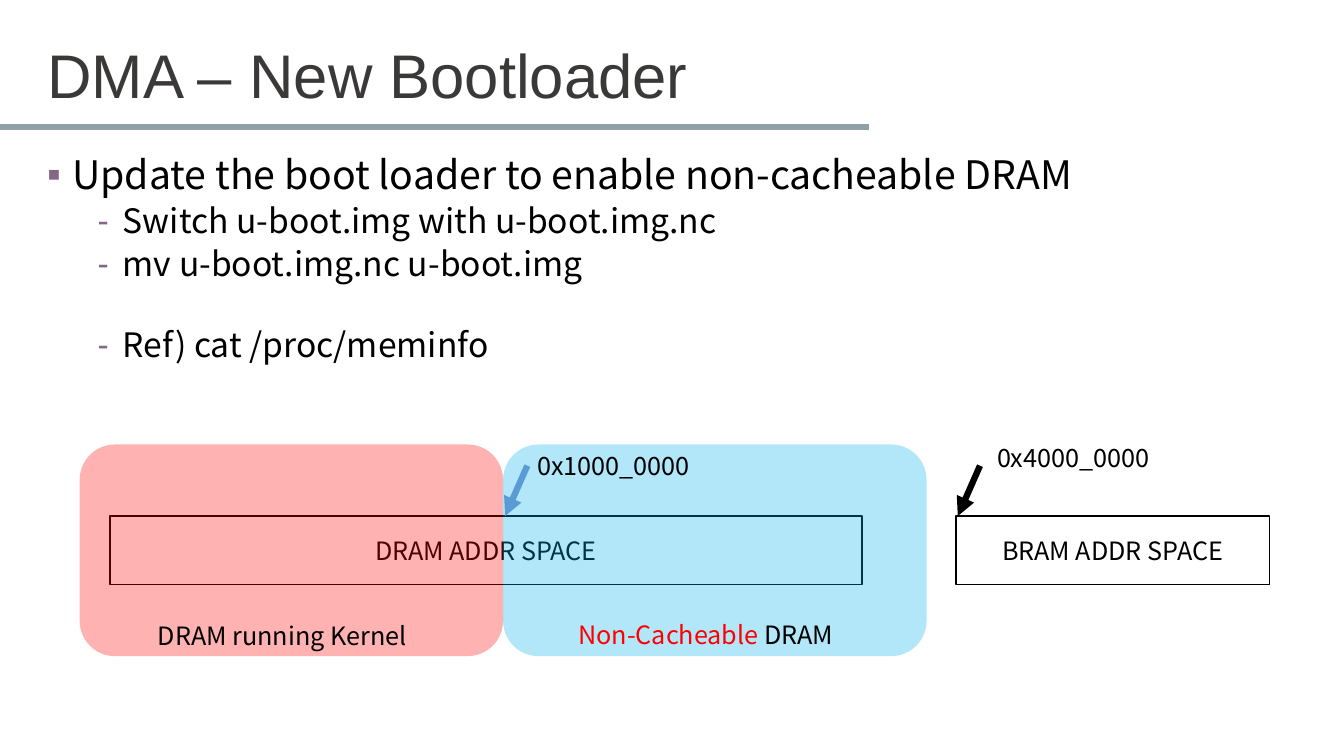
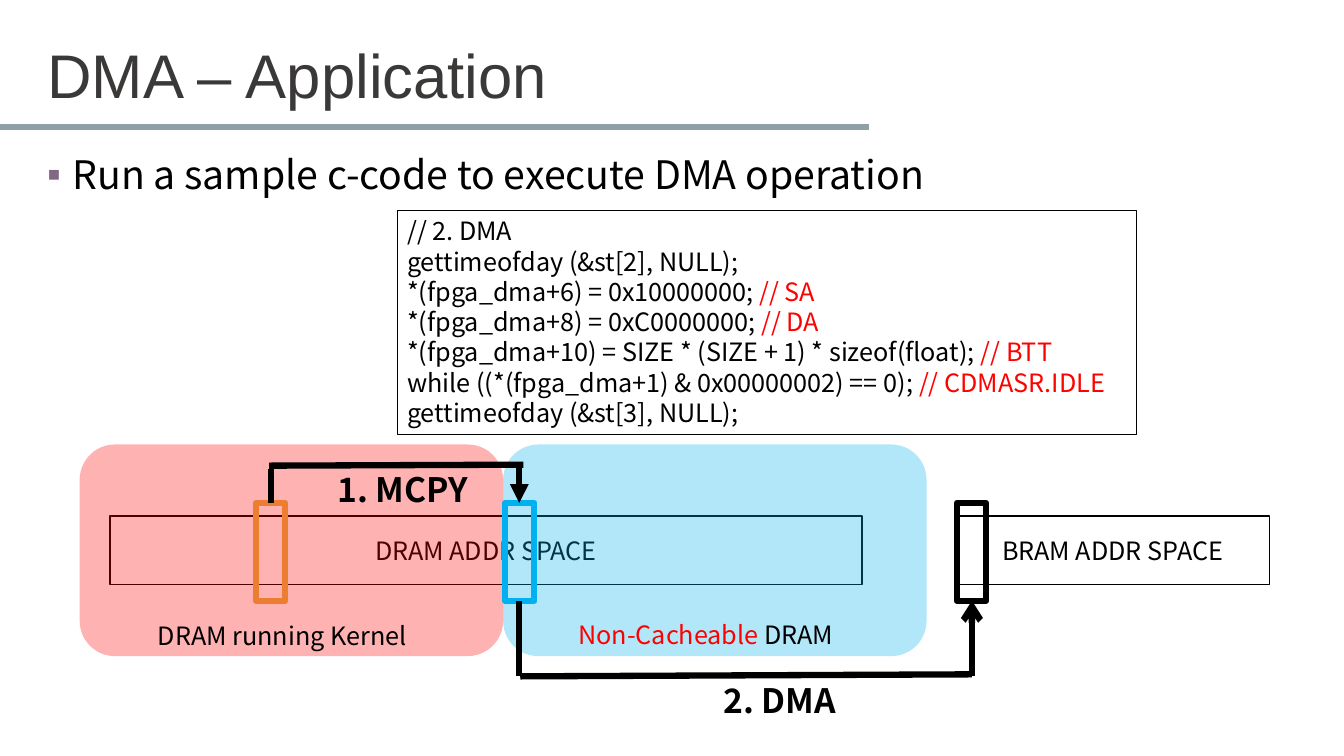
from lxml import etree
from pptx import Presentation
from pptx.dml.color import RGBColor
from pptx.enum.shapes import MSO_CONNECTOR, MSO_SHAPE
from pptx.enum.text import MSO_ANCHOR, MSO_AUTO_SIZE, PP_ALIGN
from pptx.oxml.ns import qn
from pptx.util import Inches, Pt

BLACK = RGBColor(0x00, 0x00, 0x00)
WHITE = RGBColor(0xFF, 0xFF, 0xFF)
RED = RGBColor(0xFF, 0x00, 0x00)
SKY = RGBColor(0x00, 0xB0, 0xF0)
BLUE = RGBColor(0x5B, 0x9B, 0xD5)
ORANGE = RGBColor(0xED, 0x7D, 0x31)
TITLE_GRAY = RGBColor(0x3B, 0x38, 0x38)
RULE_GRAY = RGBColor(0x8F, 0xA0, 0xA7)
BULLET = RGBColor(0x82, 0x69, 0x83)
TITLE_FONT = "Arial"
BODY_FONT = "Noto Sans CJK KR"
MAP_BOX = (0.79, 4.41, 8.4, 2.1)
THICK = 4.5


def style(r, size, color=BLACK, bold=False, font=BODY_FONT):
    r.font.name = font
    r.font.size = Pt(size)
    r.font.bold = bold
    r.font.color.rgb = color


def write(tf, lines, size=18, align=PP_ALIGN.LEFT, anchor=MSO_ANCHOR.TOP, bold=False):
    """Each line is a list of (text, color) runs."""
    tf.word_wrap = True
    tf.vertical_anchor = anchor
    for i, line in enumerate(lines):
        p = tf.add_paragraph() if i else tf.paragraphs[0]
        p.alignment = align
        for text, color in line:
            r = p.add_run()
            r.text = text
            style(r, size, color, bold)


def add_label(slide, box, runs, size=18, align=PP_ALIGN.CENTER, bold=False):
    tb = slide.shapes.add_textbox(*map(Inches, box))
    write(tb.text_frame, [runs], size, align, bold=bold)


def add_box(slide, box, shape=MSO_SHAPE.RECTANGLE, fill=None, alpha=None, line=None, width=1):
    sp = slide.shapes.add_shape(shape, *map(Inches, box))
    sp.shadow.inherit = False
    if fill is None:
        sp.fill.background()
    else:
        sp.fill.solid()
        sp.fill.fore_color.rgb = fill
    if alpha is not None:
        clr = sp.fill._xPr.find(qn("a:solidFill"))[0]
        etree.SubElement(clr, qn("a:alpha")).set("val", str(alpha * 1000))
    if line is None:
        sp.line.fill.background()
    else:
        sp.line.color.rgb = line
        sp.line.width = Pt(width)
    return sp


def add_line(slide, start, end, color=BLACK, tail=None):
    cx = slide.shapes.add_connector(MSO_CONNECTOR.STRAIGHT, *map(Inches, start + end))
    cx.line.color.rgb = color
    cx.line.width = Pt(THICK)
    if tail:
        etree.SubElement(cx.line._get_or_add_ln(), qn("a:tailEnd")).set("type", tail)
    etree.SubElement(cx._element.spPr, qn("a:effectLst"))


def add_titled_slide(prs, title):
    slide = prs.slides.add_slide(prs.slide_layouts[5])
    add_line(slide, (0, 1.26), (8.62, 1.26), RULE_GRAY)
    sp = slide.shapes.title
    sp.left, sp.top, sp.width, sp.height = map(Inches, (0.37, 0.36, 8.1, 0.84))
    tf = sp.text_frame
    tf.text = title
    tf.word_wrap = True
    tf.auto_size = MSO_AUTO_SIZE.NONE
    tf.vertical_anchor = MSO_ANCHOR.MIDDLE
    p = tf.paragraphs[0]
    p.alignment = PP_ALIGN.LEFT
    p.line_spacing = 0.9
    style(p.runs[0], 44, TITLE_GRAY, font=TITLE_FONT)
    return slide


def add_bullets(slide, box, items):
    """Each item is (level, space before in points, text)."""
    tf = slide.shapes.add_textbox(*map(Inches, box)).text_frame
    tf.word_wrap = True
    for i, (level, before, text) in enumerate(items):
        p = tf.add_paragraph() if i else tf.paragraphs[0]
        p.text = text
        p.level = level
        p.line_spacing = 0.9
        p.space_before = Pt(before)
        style(p.runs[0], 28 - 4 * level)
        pPr = p._p.get_or_add_pPr()
        pPr.set("marL", str(Inches(0.25 + 0.5 * level)))
        pPr.set("indent", str(Inches(-0.25)))
        clr = etree.SubElement(pPr, qn("a:buClr"))
        etree.SubElement(clr, qn("a:srgbClr")).set("val", str(BULLET))
        etree.SubElement(pPr, qn("a:buFont")).set("typeface", TITLE_FONT)
        etree.SubElement(pPr, qn("a:buChar")).set("char", "▪-"[level])


def add_memory_map(slide, box):
    left, top, width, height = box
    half = width / 2

    def add_space(x, w, text):
        sp = add_box(slide, (left + x, top + 0.71, w, 0.68), fill=WHITE, line=BLACK)
        write(sp.text_frame, [[(text, BLACK)]], align=PP_ALIGN.CENTER, anchor=MSO_ANCHOR.MIDDLE)

    # Address spaces, with the two DRAM regions over the first
    add_space(0.3, 7.46, "DRAM ADDR SPACE")
    for i, color in enumerate((RED, SKY)):
        add_box(slide, (left + i * half, top, half, height),
                MSO_SHAPE.ROUNDED_RECTANGLE, color, alpha=30)
    add_space(8.69, 3.11, "BRAM ADDR SPACE")
    # Region names
    add_label(slide, (left + 0.49, top + 1.69, 3.04, 0.4), [("DRAM running Kernel", BLACK)])
    add_label(slide, (left + 4.71, top + 1.68, 3, 0.4),
              [("Non-Cacheable", RED), (" DRAM", BLACK)])


def add_address_marks(slide, box):
    left, top = box[:2]
    marks = ((4.44, 0.01, "0x1000_0000", 4.44, BLUE), (9, -0.07, "0x4000_0000", 8.93, BLACK))
    for x, y, text, arrow_x, color in marks:
        add_label(slide, (left + x, top + y, 2.19, 0.4), [(text, BLACK)], align=PP_ALIGN.LEFT)
        add_line(slide, (left + arrow_x, top + 0.21), (left + arrow_x - 0.22, top + 0.71),
                 color, "triangle")


def add_transfers(slide, box):
    left, top = box[:2]

    # Memory blocks
    for x, color in ((1.75, ORANGE), (4.22, SKY), (8.7, BLACK)):
        add_box(slide, (left + x, top + 0.58, 0.29, 0.97), line=color, width=THICK)
    # Copy path above, DMA path below
    segments = (
        ((1.9, 0.58), (1.9, 0.24), None),
        ((4.36, 0.2), (4.36, 0.58), "triangle"),
        ((4.4, 0.2), (1.88, 0.21), None),
        ((4.36, 2.3), (4.36, 1.55), None),
        ((8.85, 2.28), (4.37, 2.3), None),
        ((8.85, 2.3), (8.85, 1.55), "arrow"),
    )
    for (x1, y1), (x2, y2), tail in segments:
        add_line(slide, (left + x1, top + y1), (left + x2, top + y2), tail=tail)
    # Step names
    for x, y, w, text in ((2.39, 0.19, 1.63, "1. MCPY"), (6.21, 2.29, 1.47, "2. DMA")):
        add_label(slide, (left + x, top + y, w, 0.5), [(text, BLACK)], 24, bold=True)


def add_code(slide, box, lines):
    sp = add_box(slide, box, fill=WHITE, line=BLACK)
    write(sp.text_frame, [[(code, BLACK)] + [(note, RED) for note in notes]
                          for code, *notes in lines])


def build_bootloader(prs):
    slide = add_titled_slide(prs, "DMA – New Bootloader")
    add_bullets(slide, (0.37, 1.49, 12.05, 5.01), [
        (0, 10, "Update the boot loader to enable non-cacheable DRAM"),
        (1, 5, "Switch u-boot.img with u-boot.img.nc"),
        (1, 5, "mv u-boot.img.nc u-boot.img"),
        (1, 32, "Ref) cat /proc/meminfo"),
    ])
    add_memory_map(slide, MAP_BOX)
    add_address_marks(slide, MAP_BOX)


def build_application(prs):
    slide = add_titled_slide(prs, "DMA – Application")
    add_bullets(slide, (0.37, 1.49, 12.05, 5.01),
                [(0, 10, "Run a sample c-code to execute DMA operation")])
    add_memory_map(slide, MAP_BOX)
    add_transfers(slide, MAP_BOX)
    add_code(slide, (3.94, 2.09, 7.33, 2.22), [
        ("// 2. DMA",),
        ("gettimeofday (&st[2], NULL);",),
        ("*(fpga_dma+6) = 0x10000000; ", "// SA"),
        ("*(fpga_dma+8) = 0xC0000000; ", "// DA"),
        ("*(fpga_dma+10) = SIZE * (SIZE + 1) * sizeof(float); ", "// BTT"),
        ("while ((*(fpga_dma+1) & 0x00000002) == 0); ", "// CDMASR.IDLE"),
        ("gettimeofday (&st[3], NULL);",),
    ])


prs = Presentation()
prs.slide_width, prs.slide_height = Inches(13.33), Inches(7.5)
build_bootloader(prs)
build_application(prs)
prs.save("out.pptx")
